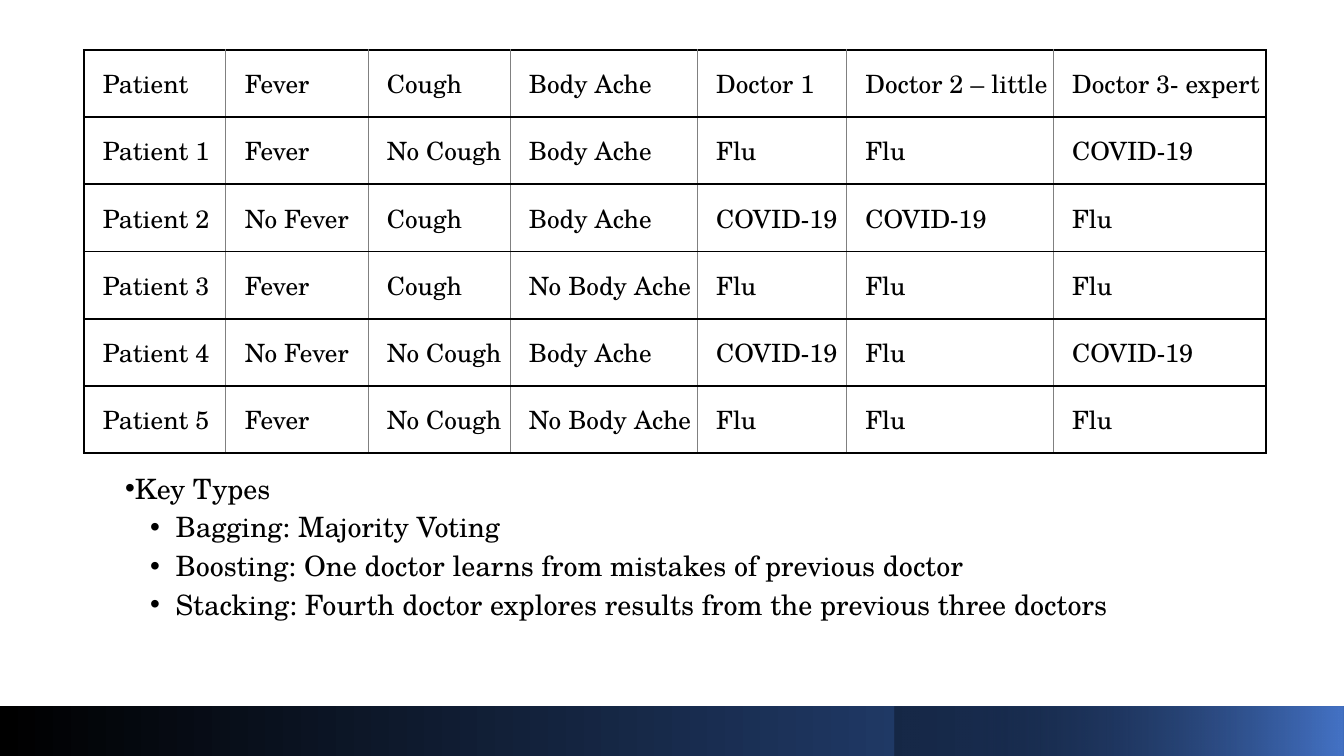
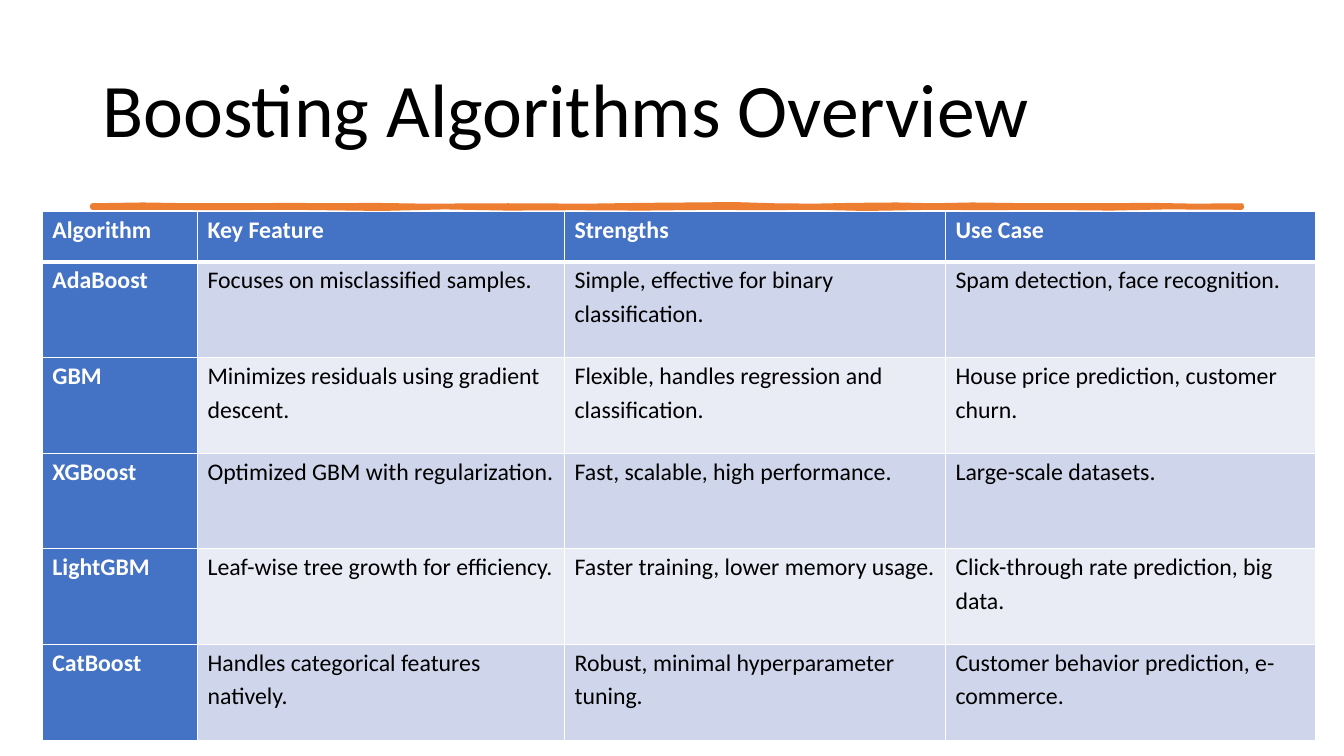
import pptx
import pptx.dml.color
import pptx.enum.shapes
import pptx.enum.text
import pptx.oxml.ns
import pptx.util
from lxml import etree

Cm, Pt = pptx.util.Cm, pptx.util.Pt
RGB = pptx.dml.color.RGBColor.from_string
qn = pptx.oxml.ns.qn
ANCHOR = pptx.enum.text.MSO_ANCHOR
RECTANGLE = pptx.enum.shapes.MSO_SHAPE.RECTANGLE

COLORS = {
    "black": "000000",
    "white": "FFFFFF",
    "grey": "808080",
    "navy": "2F5597",
    "blue": "4472C4",
    "orange": "ED7D31",
    "band_dark": "CFD5EA",
    "band_light": "E9EBF5",
}
SERIF, SANS = "TeX Gyre Schola", "Calibri"


def add_grid(s, rows, left, top, widths, heights, font, size, margins):
    """Add a table with text and margins (left, top, right, bottom) in cm."""
    frame = s.shapes.add_table(len(rows), len(widths), Cm(left), Cm(top),
                               Cm(sum(widths)), Cm(sum(heights)))
    table = frame.table
    for column, width in zip(table.columns, widths):
        column.width = Cm(width)
    for row, height, texts in zip(table.rows, heights, rows):
        row.height = Cm(height)
        for cell, text in zip(row.cells, texts):
            (cell.margin_left, cell.margin_top,
             cell.margin_right, cell.margin_bottom) = map(Cm, margins)
            cell.text_frame.text = text
            r = cell.text_frame.paragraphs[0].runs[0]
            r.font.name, r.font.size, r.font.bold = font, Pt(size), False
            r.font.color.rgb = RGB(COLORS["black"])
    return table


def set_borders(cell, **sides):
    """Draw the sides L, R, T, B, each given as (colour, points); call before filling."""
    tcPr = cell._tc.get_or_add_tcPr()
    for side in "LRTB":
        color, width = sides[side]
        ln = etree.SubElement(tcPr, qn(f"a:ln{side}"), w=str(Pt(width)))
        fill = etree.SubElement(ln, qn("a:solidFill"))
        etree.SubElement(fill, qn("a:srgbClr"), val=COLORS[color])


prs = pptx.Presentation()
prs.slide_width, prs.slide_height = Cm(33.87), Cm(19.05)

# Slide 1: doctors and ensemble types
s = prs.slides.add_slide(prs.slide_layouts[1])
title = s.shapes.title
title._element.getparent().remove(title._element)

body = s.placeholders[1]
body.left, body.top, body.width, body.height = Cm(2.9), Cm(11.84), Cm(26.67), Cm(5)
tf = body.text_frame
tf.auto_size = pptx.enum.text.MSO_AUTO_SIZE.NONE
key_types = [
    (0, "Key Types"),
    (1, "Bagging: Majority Voting"),
    (1, "Boosting: One doctor learns from mistakes of previous doctor"),
    (1, "Stacking: Fourth doctor explores results from the previous three doctors"),
]
tf.text = "\n".join(text for level, text in key_types)
for p, (level, text) in zip(tf.paragraphs, key_types):
    p.level = level
    pPr = p._p.get_or_add_pPr()
    pPr.set("marL", str(Cm(1.27 * level)))
    pPr.set("indent", str(-Cm(0.64)))
    etree.SubElement(pPr, qn("a:buFont"), typeface="Arial")
    etree.SubElement(pPr, qn("a:buChar"), char="•")
    p.line_spacing, p.space_before, p.space_after = 0.9, Pt(0), Pt(6)
    r = p.runs[0]
    r.font.name, r.font.size = SERIF, Pt(20)
    r.font.color.rgb = RGB(COLORS["black"])

# left, width, then (position, colour, opacity in percent) of each gradient stop
bands = [
    (0, 33.87, [(0, "black", 100), (1, "navy", 100)]),
    (22.55, 11.32, [(0.19, "black", 31), (0.99, "blue", 100)]),
]
for left, width, stops in bands:
    band = s.shapes.add_shape(RECTANGLE, Cm(left), Cm(17.8), Cm(width), Cm(1.3))
    band.shadow.inherit = False
    band.line.fill.background()
    band.fill.gradient()
    band.fill.gradient_angle = 0
    for stop, (position, color, opacity) in zip(band.fill.gradient_stops, stops):
        stop.position = position
        stop.color.rgb = RGB(COLORS[color])
        if opacity < 100:
            srgb = stop._gs.find(qn("a:srgbClr"))
            etree.SubElement(srgb, qn("a:alpha"), val=str(opacity * 1000))

diagnoses = [
    ["Patient", "Fever", "Cough", "Body Ache", "Doctor 1",
     "Doctor 2 – little", "Doctor 3- expert"],
    ["Patient 1", "Fever", "No Cough", "Body Ache", "Flu", "Flu", "COVID-19"],
    ["Patient 2", "No Fever", "Cough", "Body Ache", "COVID-19", "COVID-19", "Flu"],
    ["Patient 3", "Fever", "Cough", "No Body Ache", "Flu", "Flu", "Flu"],
    ["Patient 4", "No Fever", "No Cough", "Body Ache", "COVID-19", "Flu", "COVID-19"],
    ["Patient 5", "Fever", "No Cough", "No Body Ache", "Flu", "Flu", "Flu"],
]
table = add_grid(s, diagnoses, 2.11, 1.26, [3.58, 3.58, 3.58, 4.72, 3.76, 5.21, 5.36],
                 [1.6] * len(diagnoses), SERIF, 18, (0.48, 0.38, 0.05, 0.38))
outer, inner = ("black", 1.5), ("grey", 0.5)
for row in table.rows:
    cells = list(row.cells)
    for i, cell in enumerate(cells):
        cell.vertical_anchor = ANCHOR.BOTTOM
        set_borders(cell, L=outer if i == 0 else inner,
                    R=outer if i == len(cells) - 1 else inner, T=outer, B=outer)
        cell.fill.background()

# Slide 2: boosting algorithms
s = prs.slides.add_slide(prs.slide_layouts[5])
title = s.shapes.title
title.left, title.top, title.width, title.height = Cm(2.33), Cm(1.02), Cm(29.21), Cm(3.68)
tf = title.text_frame
tf.text = "Boosting Algorithms Overview"
tf.auto_size = pptx.enum.text.MSO_AUTO_SIZE.NONE
tf.vertical_anchor = ANCHOR.MIDDLE
p = tf.paragraphs[0]
p.alignment, p.line_spacing = pptx.enum.text.PP_ALIGN.LEFT, 0.9
r = p.runs[0]
r.font.name, r.font.size = SANS, Pt(54)
r.font.color.rgb = RGB(COLORS["black"])

# Hand-drawn rule: upper edge left to right, lower edge back, in 1/100 cm
upper_edge = [(233, 518), (360, 516), (480, 518), (620, 518), (730, 517), (840, 518),
              (940, 517), (1070, 519), (1280, 518), (1480, 519), (1620, 517),
              (1740, 516), (1850, 515), (1950, 518), (2050, 519), (2150, 517),
              (2260, 516), (2350, 518), (2450, 516), (2600, 518), (2760, 518),
              (2900, 517), (3010, 519), (3129, 518)]
lower_edge = [(3129, 523), (2940, 522), (2800, 525), (2600, 523), (2490, 524),
              (2350, 523), (2180, 526), (2060, 523), (1910, 524), (1800, 523),
              (1620, 525), (1450, 524), (1280, 525), (1120, 522), (960, 526),
              (740, 523), (540, 524), (430, 523), (233, 523)]
builder = s.shapes.build_freeform(*upper_edge[0], scale=Cm(0.01))
builder.add_line_segments(upper_edge[1:] + lower_edge, close=True)
rule = builder.convert_to_shape()
rule.shadow.inherit = False
rule.fill.solid()
rule.fill.fore_color.rgb = RGB(COLORS["orange"])
rule.line.color.rgb = RGB(COLORS["orange"])
rule.line.width = Pt(3.25)

algorithms = [
    ["Algorithm", "Key Feature", "Strengths", "Use Case"],
    ["AdaBoost", "Focuses on misclassified samples.",
     "Simple, effective for binary classification.",
     "Spam detection, face recognition."],
    ["GBM", "Minimizes residuals using gradient descent.",
     "Flexible, handles regression and classification.",
     "House price prediction, customer churn."],
    ["XGBoost", "Optimized GBM with regularization.",
     "Fast, scalable, high performance.", "Large-scale datasets."],
    ["LightGBM", "Leaf-wise tree growth for efficiency.",
     "Faster training, lower memory usage.",
     "Click-through rate prediction, big data."],
    ["CatBoost", "Handles categorical features natively.",
     "Robust, minimal hyperparameter tuning.",
     "Customer behavior prediction, e-commerce."],
]
table = add_grid(s, algorithms, 1.07, 5.33, [3.91, 9.25, 9.6, 9.32],
                 [1.27] + [2.41] * 5, SANS, 17, (0.25, 0, 0.25, 0))
thin, thick = ("white", 1), ("white", 3)
for i, row in enumerate(table.rows):
    for j, cell in enumerate(row.cells):
        set_borders(cell, L=thin, R=thin, T=thick if i == 1 else thin,
                    B=thick if i == 0 else thin)
        p = cell.text_frame.paragraphs[0]
        p.line_spacing, p.space_after = 1.15, Pt(8)
        color = "band_dark" if i % 2 else "band_light"
        if i == 0 or j == 0:
            color = "blue"
            p.runs[0].font.bold = True
            p.runs[0].font.color.rgb = RGB(COLORS["white"])
        cell.fill.solid()
        cell.fill.fore_color.rgb = RGB(COLORS[color])

prs.save("out.pptx")
